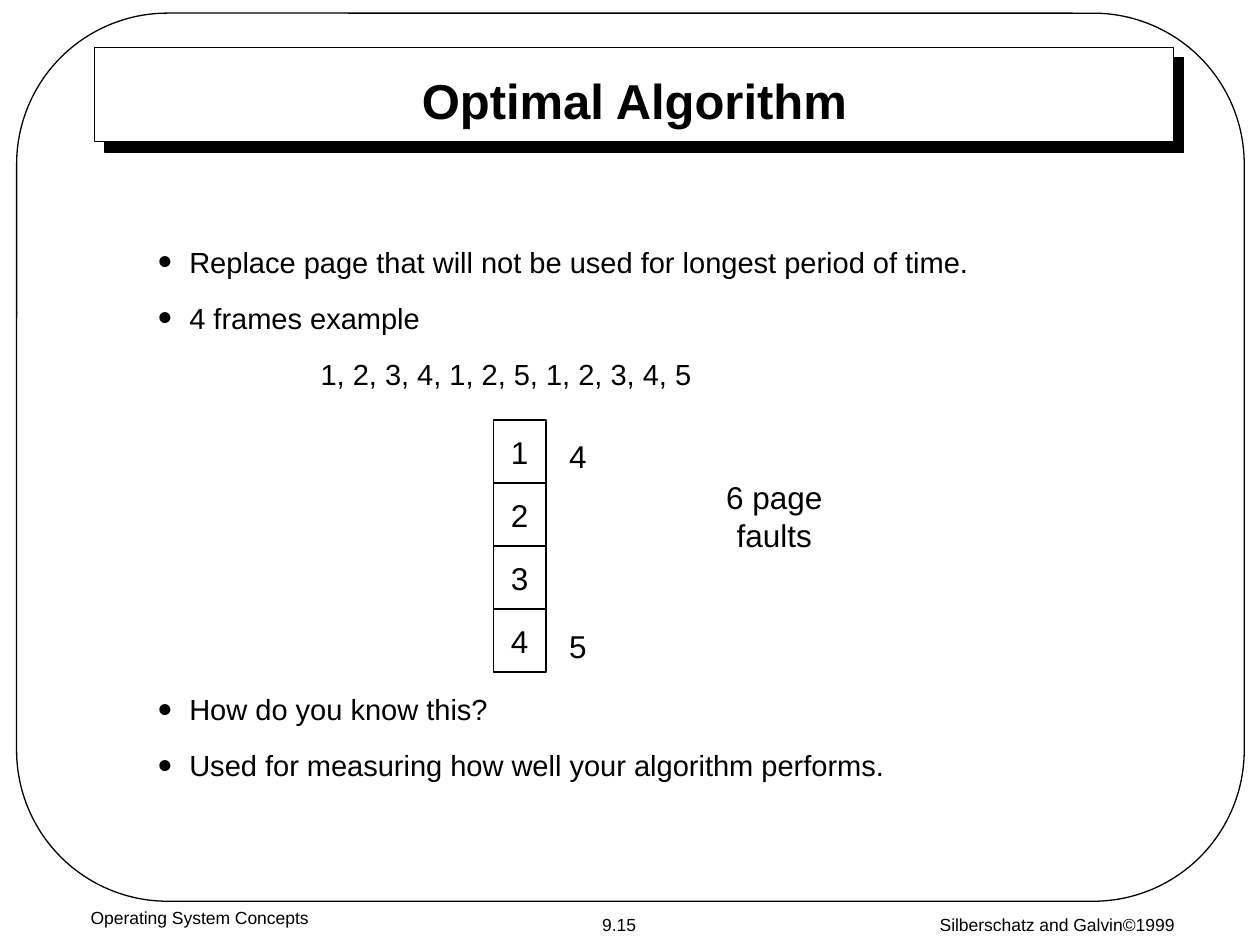
import pptx
import pptx.util
import pptx.dml.color
import pptx.enum.shapes
import pptx.enum.text
import pptx.oxml
import pptx.oxml.ns
from lxml import etree

Pt = pptx.util.Pt
SHAPE = pptx.enum.shapes.MSO_SHAPE
ALIGN = pptx.enum.text.PP_ALIGN
ANCHOR = pptx.enum.text.MSO_ANCHOR
AUTO = pptx.enum.text.MSO_AUTO_SIZE
BLACK = pptx.dml.color.RGBColor(0, 0, 0)
WHITE = pptx.dml.color.RGBColor(255, 255, 255)
FONT = "Arial"

TITLE = "Optimal Algorithm"
# text, bulleted, left margin, space before
BODY = [
    ("Replace page that will not be used for longest period of time.", True, 18, 0),
    ("4 frames example", True, 18, 12),
    ("1, 2, 3, 4, 1, 2, 5, 1, 2, 3, 4, 5", False, 93, 12),
    ("How do you know this?", True, 18, 172),
    ("Used for measuring how well your algorithm performs.", True, 18, 12),
]
FRAMES = ["1", "2", "3", "4"]
FRAME_LEFT, FRAME_TOP, FRAME_W, FRAME_H = 282, 240, 30, 36
# text, (left, top, width, height), size, anchor
LABELS = [
    ("Operating System Concepts", (0, 515, 228, 25), 10, ANCHOR.TOP),
    ("9.15", (320, 518.5, 67.5, 19.5), 10, ANCHOR.MIDDLE),
    ("Silberschatz and Galvin©1999", (490, 519, 228, 20), 10, ANCHOR.TOP),
    ("4", (318, 246, 24.5, 29), 18, ANCHOR.MIDDLE),
    ("5", (318, 354.5, 24.5, 29), 18, ANCHOR.MIDDLE),
    ("6 page faults", (384, 280.5, 117, 29), 18, ANCHOR.MIDDLE),
]
SHADOW = (
    '<a:effectLst %s><a:outerShdw dist="107950" dir="2700000" algn="ctr" rotWithShape="0">'
    '<a:srgbClr val="000000"/></a:outerShdw></a:effectLst>' % pptx.oxml.ns.nsdecls("a")
)


def write(p, text, size=18, bold=False, align=ALIGN.CENTER, before=0):
    p.alignment = align
    p.space_before, p.space_after = Pt(before), Pt(0)
    r = p.add_run()
    r.text = text
    r.font.name, r.font.size, r.font.bold = FONT, Pt(size), bold
    r.font.color.rgb = BLACK


def set_bullet(p, bulleted, margin):
    pPr = p._p.get_or_add_pPr()
    pPr.set("marL", str(Pt(margin)))
    pPr.set("indent", str(-Pt(margin) if bulleted else 0))

    def add(parent, tag, **attrs):
        return etree.SubElement(parent, pptx.oxml.ns.qn("a:" + tag), **attrs)

    if not bulleted:
        add(pPr, "buNone")
        return
    add(add(pPr, "buClr"), "srgbClr", val=str(BLACK))
    add(pPr, "buSzPct", val="140000")
    add(pPr, "buFont", typeface=FONT)
    add(pPr, "buChar", char="•")


def add_box(s, kind, box, fill=WHITE):
    sp = s.shapes.add_shape(kind, *map(Pt, box))
    sp.shadow.inherit = False
    if fill is None:
        sp.fill.background()
    else:
        sp.fill.solid()
        sp.fill.fore_color.rgb = fill
    sp.line.color.rgb = BLACK
    sp.line.width = Pt(0.75)
    return sp


def place(sp, box):
    """Move a placeholder to the box and bring it to the front."""
    sp.left, sp.top, sp.width, sp.height = map(Pt, box)
    sp.element.getparent().append(sp.element)
    sp.text_frame.auto_size = AUTO.NONE
    return sp.text_frame


def main():
    prs = pptx.Presentation()
    prs.slide_width, prs.slide_height = Pt(720), Pt(540)
    s = prs.slides.add_slide(prs.slide_layouts[1])

    banner = add_box(s, SHAPE.RECTANGLE, (54, 27, 616.5, 54))
    spPr = banner.element.spPr
    spPr.replace(spPr.find(pptx.oxml.ns.qn("a:effectLst")), pptx.oxml.parse_xml(SHADOW))
    border = add_box(s, SHAPE.ROUNDED_RECTANGLE, (9.5, 7.5, 701.5, 507.5), fill=None)
    border.adjustments[0] = 0.17

    tf = place(s.shapes.title, (91.5, 39, 542, 36))
    tf.vertical_anchor = ANCHOR.MIDDLE
    write(tf.paragraphs[0], TITLE, size=28, bold=True)

    tf = place(s.placeholders[1], (83, 136, 553.5, 324))
    for i, (text, bulleted, margin, before) in enumerate(BODY):
        p = tf.add_paragraph() if i else tf.paragraphs[0]
        write(p, text, size=16.6, align=ALIGN.LEFT, before=before)
        set_bullet(p, bulleted, margin)

    for i, page in enumerate(FRAMES):
        box = (FRAME_LEFT, FRAME_TOP + i * FRAME_H, FRAME_W, FRAME_H)
        tf = add_box(s, SHAPE.RECTANGLE, box).text_frame
        tf.word_wrap = False
        tf.vertical_anchor = ANCHOR.MIDDLE
        write(tf.paragraphs[0], page)

    for text, box, size, anchor in LABELS:
        tf = s.shapes.add_textbox(*map(Pt, box)).text_frame
        tf.word_wrap = anchor == ANCHOR.TOP
        tf.vertical_anchor = anchor
        write(tf.paragraphs[0], text, size=size)

    prs.save("out.pptx")


if __name__ == "__main__":
    main()
